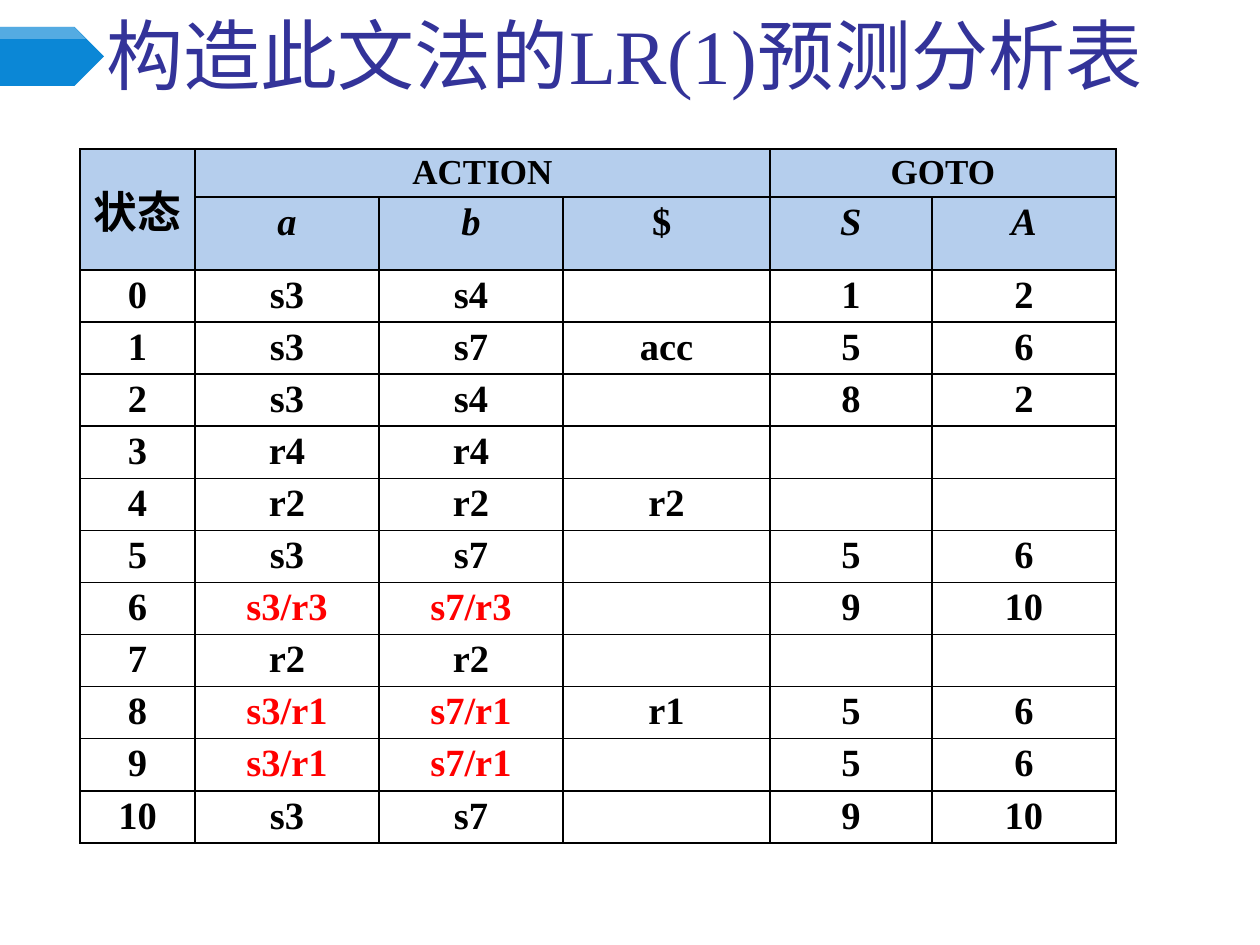
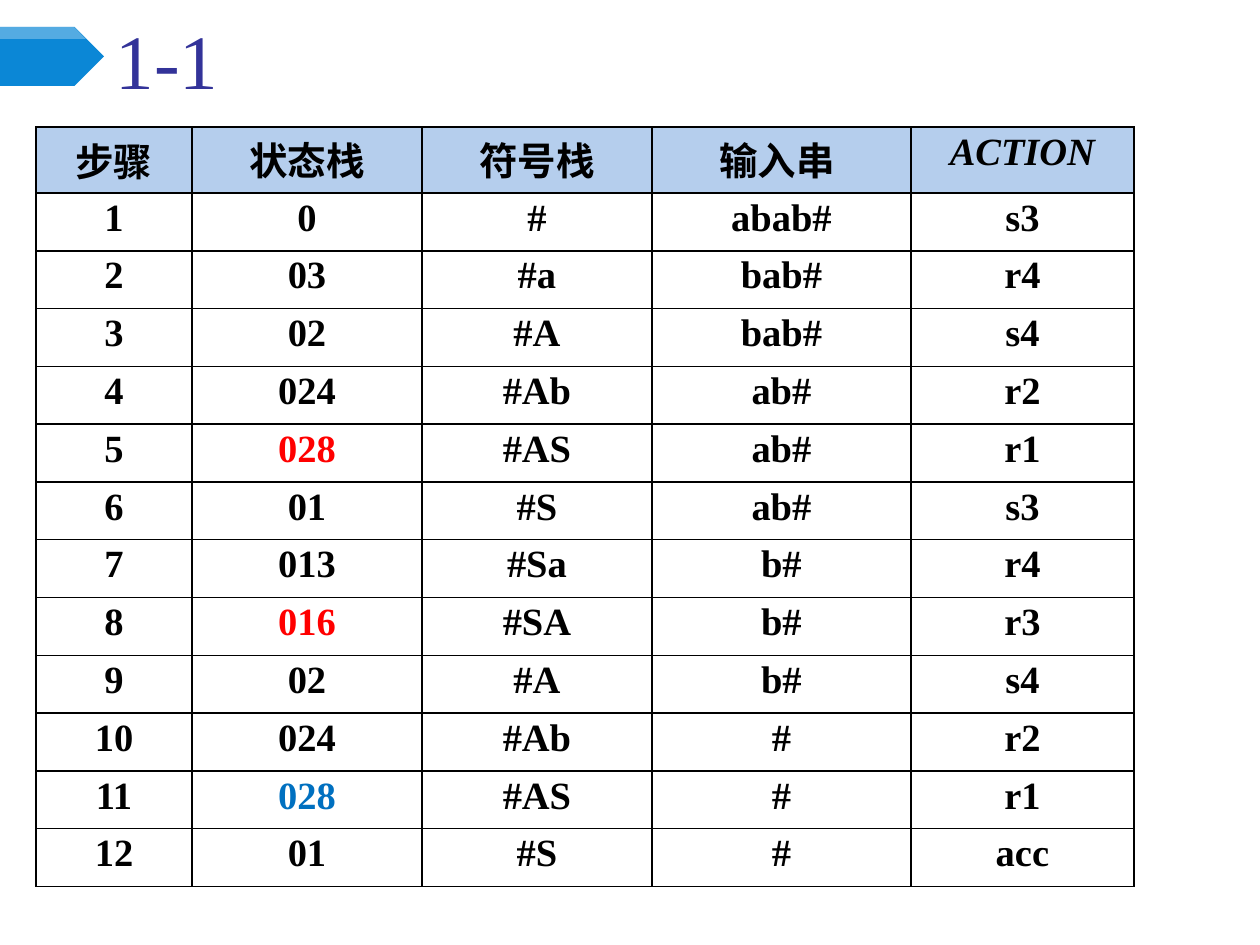
from dataclasses import dataclass, field

from lxml import etree
from pptx import Presentation
from pptx import util as u
from pptx.dml.color import RGBColor
from pptx.enum import shapes, text
from pptx.oxml import ns

EMU_PER_PX = 914400 / 126
SLIDE_W, SLIDE_H = 1260, 945
TITLE_W, TITLE_H = 1119, 88
TITLE_ONLY = 5

LATIN, HAN = "Times New Roman", "Noto Sans CJK SC"
INDIGO = RGBColor(0x33, 0x33, 0x99)
BAND_BLUE = RGBColor(0x0B, 0x87, 0xD6)
HEAD_FILL = RGBColor(0xB5, 0xCE, 0xED)
WHITE = RGBColor(0xFF, 0xFF, 0xFF)
BLACK = RGBColor(0, 0, 0)
RED = RGBColor(0xFF, 0, 0)
BLUE = RGBColor(0, 0x70, 0xC0)


@dataclass
class Grid:
    """A table; formats and merges are keyed by (row, column)."""
    left: int
    top: int
    widths: list[int]
    head_heights: list[int]
    body_height: int
    rows: list[str]
    formats: dict = field(default_factory=dict)
    merges: list = field(default_factory=list)


@dataclass
class Page:
    title: str
    left: int
    top: int
    grid: Grid


PARSING_TABLE = Grid(
    80, 149, [115, 184, 184, 207, 162, 184], [48, 73], 573,
    ["状态|ACTION|||GOTO|",
     "|a|b|$ |S|A",
     "0|s3|s4||1|2",
     "1|s3|s7|acc|5|6",
     "2|s3|s4||8|2",
     "3|r4|r4|||",
     "4|r2|r2|r2||",
     "5|s3|s7||5|6",
     "6|s3/r3|s7/r3||9|10",
     "7|r2|r2|||",
     "8|s3/r1|s7/r1|r1|5|6",
     "9|s3/r1|s7/r1||5|6",
     "10|s3|s7||9|10"],
    {(0, 0): dict(size=25, latin=HAN), (0, 1): dict(size=20), (0, 4): dict(size=20),
     **{(1, c): dict(italic=True) for c in (1, 2, 4, 5)},
     **{(r, c): dict(color=RED) for r in (8, 10, 11) for c in (1, 2)}},
    [((0, 0), (1, 0)), ((0, 1), (0, 3)), ((0, 4), (0, 5))])

ANALYSIS_STEPS = Grid(
    36, 127, [156, 230, 230, 259, 223], [66], 694,
    ["步骤|状态栈|符号栈|输入串 |ACTION",
     "1|0|#|abab#|s3",
     "2|03|#a|bab#|r4",
     "3|02|#A|bab#|s4",
     "4|024|#Ab|ab#|r2",
     "5|028|#AS|ab#|r1",
     "6|01|#S|ab#|s3",
     "7|013|#Sa|b#|r4",
     "8|016|#SA|b#|r3",
     "9|02|#A|b#|s4",
     "10|024|#Ab|#|r2",
     "11|028|#AS|#|r1",
     "12|01|#S|#|acc"],
    {**{(0, c): dict(latin=HAN) for c in range(3)}, (0, 4): dict(italic=True),
     (5, 1): dict(color=RED), (8, 1): dict(color=RED), (11, 1): dict(color=BLUE)})

PAGES = [Page("构造此文法的LR(1)预测分析表", 94, 18, PARSING_TABLE),
         Page("1-1", 103, 23, ANALYSIS_STEPS)]


def px(n: float) -> int:
    return u.Emu(round(n * EMU_PER_PX))


def put_text(tf, content: str, *, size=22, color=BLACK, bold=True, italic=False,
             latin=LATIN, align=text.PP_ALIGN.CENTER) -> None:
    p = tf.paragraphs[0]
    p.alignment = align
    r = p.add_run()
    r.text = content
    f = r.font
    f.size, f.bold, f.italic, f.name = u.Pt(size), bold, italic, latin
    f.color.rgb = color
    ea = etree.Element(ns.qn("a:ea"), typeface=HAN)
    f.fill  # the run properties exist once the colour is set
    r.font.color.rgb = color
    latin_tag = next(p.runs[-1].font._element.iter(ns.qn("a:latin")))
    latin_tag.addnext(ea)


def paint(sp, color: RGBColor) -> None:
    sp.shadow.inherit = False
    sp.fill.solid()
    sp.fill.fore_color.rgb = color
    sp.line.fill.background()


def add_band(s, layout) -> None:
    """Build the arrow band on a slide, then move it to the shared layout."""
    top, w, h, shine_h = 27, 104, 59, 12
    neck = w - h // 2 - 1
    arrow = s.shapes.add_shape(shapes.MSO_SHAPE.PENTAGON, 0, px(top), px(w), px(h))
    paint(arrow, BAND_BLUE)

    fb = s.shapes.build_freeform(0, top, scale=EMU_PER_PX)
    fb.add_line_segments([(neck, top), (neck + shine_h, top + shine_h), (0, top + shine_h)])
    shine = fb.convert_to_shape()
    paint(shine, WHITE)
    rgb = next(shine.element.spPr.iter(ns.qn("a:srgbClr")))
    etree.SubElement(rgb, ns.qn("a:alpha"), val="30000")
    for sp in (arrow, shine):
        layout.shapes.element.append(sp.element)


def add_title(s, page: Page) -> None:
    sp = s.shapes.title
    sp.left, sp.top, sp.width, sp.height = map(px, (page.left, page.top, TITLE_W, TITLE_H))
    tf = sp.text_frame
    tf.word_wrap, tf.auto_size = True, text.MSO_AUTO_SIZE.NONE
    tf.vertical_anchor = text.MSO_ANCHOR.BOTTOM
    put_text(tf, page.title, size=44, color=INDIGO, bold=False, align=text.PP_ALIGN.LEFT)


def add_borders(frame) -> None:
    for tc in frame.element.iter(ns.qn("a:tc")):
        tc_pr = tc.get_or_add_tcPr()
        for i, side in enumerate("LRTB"):
            ln = etree.Element(ns.qn(f"a:ln{side}"), w=str(u.Pt(1)))
            fill = etree.SubElement(ln, ns.qn("a:solidFill"))
            etree.SubElement(fill, ns.qn("a:srgbClr"), val=str(BLACK))
            tc_pr.insert(i, ln)


def add_grid(s, g: Grid) -> None:
    heads = len(g.head_heights)
    body_rows = len(g.rows) - heads
    heights = g.head_heights + [g.body_height / body_rows] * body_rows
    frame = s.shapes.add_table(len(heights), len(g.widths), px(g.left), px(g.top),
                               px(sum(g.widths)), px(sum(heights)))
    table = frame.table
    table.first_row = table.horz_banding = False
    for column, w in zip(table.columns, g.widths):
        column.width = px(w)
    for row, h in zip(table.rows, heights):
        row.height = px(h)
    for start, end in g.merges:
        table.cell(*start).merge(table.cell(*end))

    for r, line in enumerate(g.rows):
        for c, content in enumerate(line.split("|")):
            cell = table.cell(r, c)
            cell.margin_top = cell.margin_bottom = px(4)
            if r < heads:
                cell.fill.solid()
                cell.fill.fore_color.rgb = HEAD_FILL
            else:
                cell.fill.background()
            if content:
                put_text(cell.text_frame, content, **g.formats.get((r, c), {}))
    table.cell(0, 0).vertical_anchor = text.MSO_ANCHOR.MIDDLE
    add_borders(frame)


def main() -> None:
    prs = Presentation()
    prs.slide_width, prs.slide_height = px(SLIDE_W), px(SLIDE_H)
    layout = prs.slide_layouts[TITLE_ONLY]
    for i, page in enumerate(PAGES):
        s = prs.slides.add_slide(layout)
        if i == 0:
            add_band(s, layout)
        add_title(s, page)
        add_grid(s, page.grid)
    prs.save("out.pptx")


if __name__ == "__main__":
    main()
